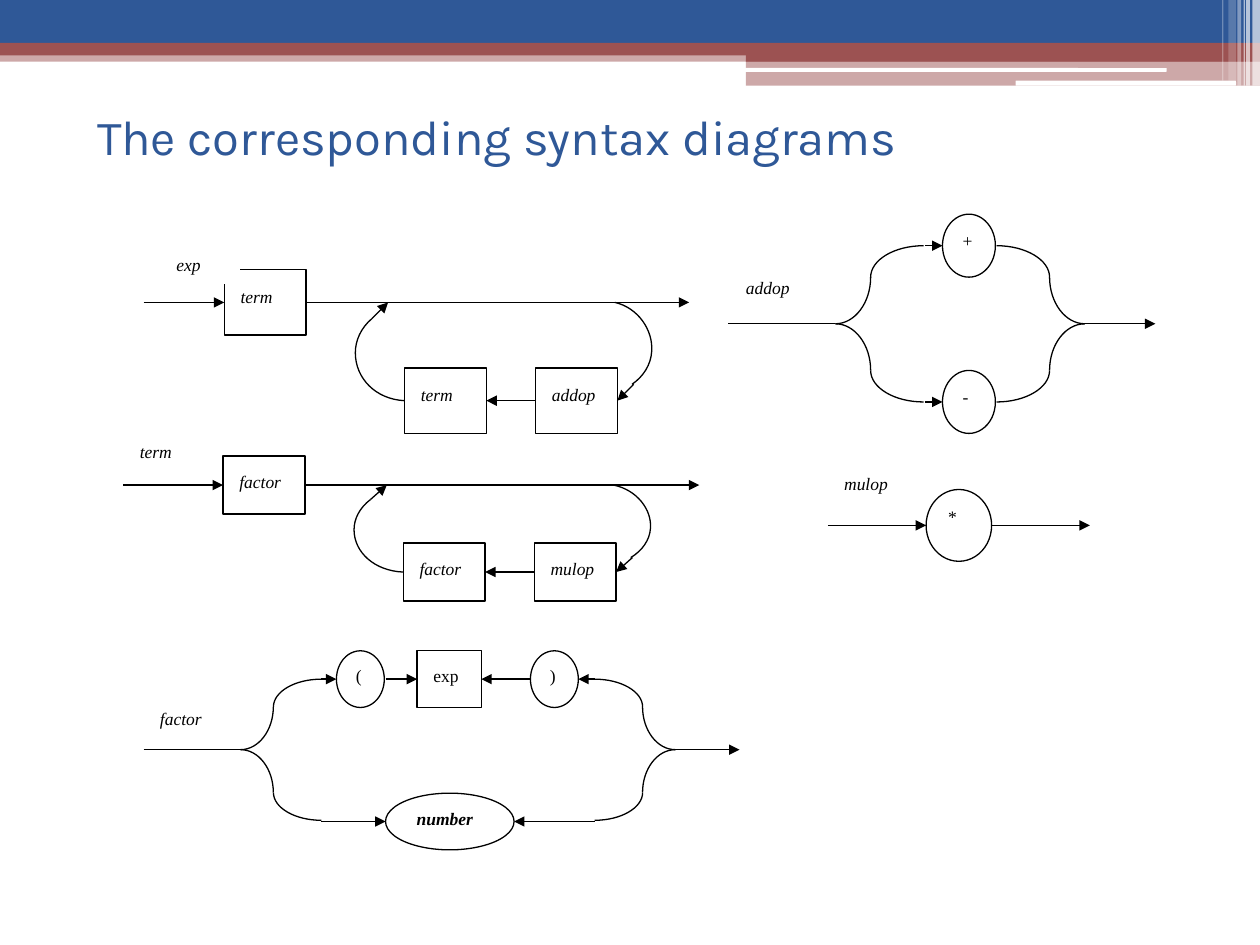
from dataclasses import dataclass

from pptx import Presentation, util as u
from pptx.dml.color import RGBColor
from pptx.enum import shapes as sh, text as tx
from pptx.oxml import ns, xmlchemy as xc

HUES = {"blue": "2F5897", "red": "9C5252", "white": "FFFFFF", "black": "000000"}
SERIF = "Times New Roman"
RECT, OVAL = sh.MSO_SHAPE.RECTANGLE, sh.MSO_SHAPE.OVAL
ROUND = sh.MSO_SHAPE.ROUNDED_RECTANGLE
Point = tuple[float, float]


@dataclass
class Bar:
    x: float
    y: float
    w: float
    h: float
    hue: str
    alpha: int = 100
    kind: int = RECT


@dataclass
class Loop:
    """A row with a feedback loop; step is a fifth of a box width."""
    start: float
    x: float
    y: float
    step: float
    h: float
    end: float
    name: str
    spot: Point
    item: str
    sign: str


@dataclass
class Fork:
    """Two branches between x and far; each bends twice."""
    start: float
    x: float
    far: float
    end: float
    y: float
    bend: Point
    reach: Point


def size(inch: float) -> u.Length:
    return u.Cm(inch * 2.54)


def color(hue: str) -> RGBColor:
    return RGBColor.from_string(HUES[hue])


def stroke(line, hue: str = "black") -> None:
    line.color.rgb = color(hue)
    line.width = u.Pt(0.75)


def form(pen, kind, x, y, w, h, hue="white", edge=None):
    part = pen.add_shape(kind, size(x), size(y), size(w), size(h))
    part.shadow.inherit = False
    part.fill.solid()
    part.fill.fore_color.rgb = color(hue)
    if edge:
        stroke(part.line, edge)
    else:
        part.line.fill.background()
    return part


def write(part, word: str, slant=False, bold=False) -> None:
    frame = part.text_frame
    frame.word_wrap = True
    frame.vertical_anchor = tx.MSO_ANCHOR.TOP
    para = frame.paragraphs[0]
    para.alignment = tx.PP_ALIGN.JUSTIFY
    run = para.add_run()
    run.text = word
    run.font.name, run.font.size = SERIF, u.Pt(10)
    run.font.italic, run.font.bold = slant, bold
    run.font.color.rgb = color("black")


def label(pen, x, y, w, h, word: str, slant=True) -> None:
    part = form(pen, RECT, x, y, w, h, edge="white")
    frame = part.text_frame
    frame.margin_left = frame.margin_right = 0
    frame.margin_top = frame.margin_bottom = 0
    write(part, word, slant)


def box(pen, x, y, w, h, word: str, slant=True) -> None:
    """Box centred on height y, with its word inset."""
    form(pen, RECT, x, y - h / 2, w, h, edge="black")
    label(pen, x + 0.13, y - h / 4, w - 0.26, h / 2, word, slant)


def oval(pen, x, y, w, h, word: str, strong=False) -> None:
    part = form(pen, OVAL, x, y - h / 2, w, h, edge="black")
    write(part, word, strong, strong)


def line(pen, a: Point, b: Point, head=True) -> None:
    part = pen.add_connector(sh.MSO_CONNECTOR.STRAIGHT, *map(size, a + b))
    stroke(part.line)
    props = part._element.spPr
    if head:
        tip = xc.OxmlElement("a:tailEnd")
        tip.set("type", "triangle")
        props.find(ns.qn("a:ln")).append(tip)
    props.append(xc.OxmlElement("a:effectLst"))


def curve(pen, dots: list[Point]) -> None:
    """Start point, then three points for each Bezier piece."""
    spots = [(size(x), size(y)) for x, y in dots]
    maker = pen.build_freeform(*spots[0], scale=1.0)
    maker.add_line_segments(spots[1:], close=False)
    part = maker.convert_to_shape()
    part.shadow.inherit = False
    part.fill.background()
    stroke(part.line)
    legs = list(part._element.iter(ns.qn("a:lnTo")))
    for one, two, three in zip(legs[::3], legs[1::3], legs[2::3]):
        bend = xc.OxmlElement("a:cubicBezTo")
        one.addprevious(bend)
        for leg in (one, two, three):
            bend.append(leg[0])
            leg.getparent().remove(leg)


def arc(pen, a: Point, b: Point) -> None:
    """Quarter turn, level at a and upright at b."""
    (ax, ay), (bx, by) = a, b
    curve(pen, [a, (ax + 0.55 * (bx - ax), ay), (bx, ay + 0.45 * (by - ay)), b])


def draw_loop(pen, row: Loop) -> None:
    def at(i: float, j: float) -> Point:
        return row.x + i * row.step, row.y + j * row.h

    wide = 5 * row.step
    line(pen, (row.start, row.y), at(0, 0))
    box(pen, *at(0, 0), wide, row.h, row.item)
    label(pen, *row.spot, 0.5, 0.23, row.name)
    line(pen, at(5, 0), (row.end, row.y))
    box(pen, *at(11, 1.5), wide, row.h, row.item)
    box(pen, *at(19, 1.5), wide, row.h, row.sign)
    line(pen, at(19, 1.5), at(16, 1.5))
    # Way up on the left, way down on the right
    line(pen, at(9, 0.25), at(10, 0))
    curve(pen, [at(9, 0.25), at(8.35, 0.39), at(8, 0.58), at(8, 0.77),
                at(8, 1.16), at(9.25, 1.48), at(11, 1.5)])
    line(pen, at(25, 1.25), at(24, 1.5))
    curve(pen, [at(24.9, 1.25), at(25.6, 1.13), at(26.05, 0.95), at(26.1, 0.75),
                at(26.2, 0.42), at(25.25, 0.08), at(23.85, 0)])


def draw_fork(pen, fork: Fork) -> None:
    (dx, dy), (rx, ry) = fork.bend, fork.reach
    line(pen, (fork.start, fork.y), (fork.x, fork.y), head=False)
    line(pen, (fork.far, fork.y), (fork.end, fork.y))
    for x, side in ((fork.x, 1), (fork.far, -1)):
        for way in (-1, 1):
            turn = x + side * dx, fork.y + way * dy
            arc(pen, (x, fork.y), turn)
            arc(pen, (turn[0] + side * rx, turn[1] + way * ry), turn)


BARS = [
    Bar(0, 0.4, 10, 0.09, "red", 50), Bar(0, 0, 10, 0.34, "blue"),
    Bar(0, 0.34, 10, 0.1, "red"), Bar(5.92, 0.39, 4.08, 0.1, "red"),
    Bar(5.92, 0.48, 4.08, 0.2, "red", 50),
    Bar(5.91, 0.54, 3.35, 0.03, "white", kind=ROUND),
    Bar(8.06, 0.64, 1.75, 0.04, "white", kind=ROUND),
] + [Bar(x, 0, w, h, "white", alpha) for x, w, h, alpha in (
    (9.94, 0.06, 0.68, 65), (9.89, 0.03, 0.68, 65), (9.87, 0.01, 0.68, 60),
    (9.82, 0.03, 0.68, 40), (9.75, 0.06, 0.64, 20), (9.7, 0.01, 0.64, 30))]
LOOPS = [
    Loop(1.14, 1.78, 2.4, 0.13, 0.52, 5.47, "exp", (1.4, 2.02), "term", "addop"),
    Loop(0.98, 1.77, 3.85, 0.13, 0.46, 5.55, "term", (1.11, 3.5), "factor", "mulop"),
]


def main() -> None:
    deck = Presentation()
    deck.slide_width, deck.slide_height = size(10), size(7.5)
    slide = deck.slides.add_slide(deck.slide_layouts[5])

    # Banner
    for bar in BARS:
        part = form(slide.shapes, bar.kind, bar.x, bar.y, bar.w, bar.h, bar.hue)
        if bar.alpha < 100:
            alpha = xc.OxmlElement("a:alpha")
            alpha.set("val", str(bar.alpha * 1000))
            part._element.spPr.find(".//" + ns.qn("a:srgbClr")).append(alpha)

    # Title
    title = slide.shapes.title
    title.left, title.top = size(0.67), size(0.45)
    title.width, title.height = size(7.68), size(1.25)
    frame = title.text_frame
    frame.auto_size = tx.MSO_AUTO_SIZE.NONE
    frame.vertical_anchor = tx.MSO_ANCHOR.MIDDLE
    frame.paragraphs[0].alignment = tx.PP_ALIGN.LEFT
    run = frame.paragraphs[0].add_run()
    run.text = "The corresponding syntax diagrams"
    run.font.name, run.font.size = "Karla", u.Pt(28)
    run.font.color.rgb = color("blue")

    # Rules exp and term
    for row in LOOPS:
        draw_loop(slide.shapes.add_group_shape().shapes, row)

    # Rule addop
    pen = slide.shapes.add_group_shape().shapes
    label(pen, 5.92, 2.2, 0.85, 0.25, "addop")
    draw_fork(pen, Fork(5.78, 6.63, 8.61, 9.17, 2.57, (0.28, 0.37), (0.42, 0.25)))
    for y, sign in ((1.95, "+"), (3.19, "-")):
        oval(pen, 7.48, y, 0.42, 0.5, sign)
        line(pen, (7.34, y), (7.48, y))

    # Rule mulop
    pen = slide.shapes.add_group_shape().shapes
    label(pen, 6.7, 3.75, 0.39, 0.28, "mulop")
    oval(pen, 7.35, 4.17, 0.52, 0.57, "*")
    for x in (6.57, 7.87):
        line(pen, (x, 4.17), (x + 0.78, 4.17))

    # Rule factor
    pen = slide.shapes.add_group_shape().shapes
    label(pen, 1.27, 5.62, 0.64, 0.22, "factor")
    draw_fork(pen, Fork(1.14, 1.91, 5.36, 5.87, 5.95, (0.26, 0.34), (0.38, 0.22)))
    oval(pen, 2.67, 5.39, 0.38, 0.45, "(")
    box(pen, 3.31, 5.39, 0.51, 0.45, "exp", slant=False)
    oval(pen, 4.21, 5.39, 0.38, 0.45, ")")
    oval(pen, 3.06, 6.52, 1.02, 0.45, "number", strong=True)
    for y, a, b in ((5.39, 2.55, 2.67), (5.39, 3.06, 3.31), (5.39, 4.21, 3.82),
                    (5.39, 4.72, 4.59), (6.52, 2.55, 3.06), (6.52, 4.72, 4.08)):
        line(pen, (a, y), (b, y))

    deck.save("out.pptx")


if __name__ == "__main__":
    main()
